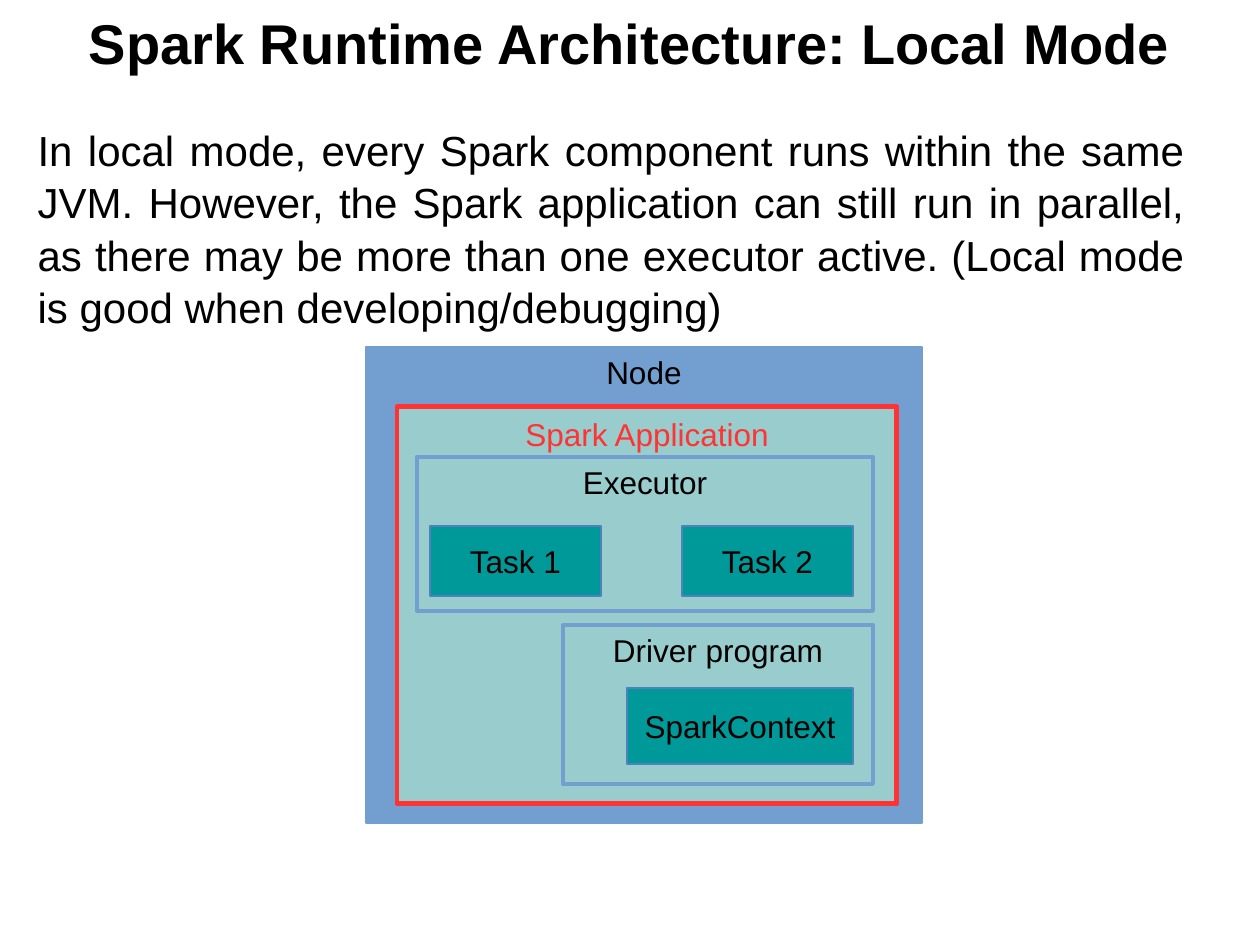
import pptx
import pptx.dml.color
import pptx.enum.shapes
import pptx.enum.text
import pptx.oxml
import pptx.util

RGBColor = pptx.dml.color.RGBColor
Anchor = pptx.enum.text.MSO_ANCHOR
Align = pptx.enum.text.PP_ALIGN

BLACK = RGBColor(0x00, 0x00, 0x00)
RED = RGBColor(0xFF, 0x33, 0x33)
BLUE = RGBColor(0x72, 0x9F, 0xCF)
DARK_BLUE = RGBColor(0x4F, 0x81, 0xBD)
PALE_TEAL = RGBColor(0x99, 0xCC, 0xCC)
TEAL = RGBColor(0x00, 0x99, 0x99)

PX = 914400 // 126  # EMU in one px
FONT = "Arial"

TITLE = "Spark Runtime Architecture: Local Mode"
BODY = (
    "In local mode, every Spark component runs within the same JVM. "
    "However, the Spark application can still run in parallel, as there may "
    "be more than one executor active. (Local mode is good when "
    "developing/debugging)"
)

# style: fill, line, line width in pt, text colour, anchor, (side, top) insets in px
STYLES = {
    "node": (BLUE, BLUE, 0.75, BLACK, Anchor.TOP, (13, 6)),
    "application": (PALE_TEAL, RED, 2.83, RED, Anchor.TOP, (14, 8)),
    "process": (PALE_TEAL, BLUE, 2.25, BLACK, Anchor.TOP, (13, 6)),
    "unit": (TEAL, DARK_BLUE, 0.75, BLACK, Anchor.MIDDLE, (13, 6)),
}

# label, style, (left, top, width, height) in px, from back to front
BOXES = [
    ("Node", "node", (366, 347, 556, 476)),
    ("Spark Application", "application", (397, 407, 500, 397)),
    ("Driver program", "process", (563, 625, 310, 159)),
    ("SparkContext", "unit", (627, 688, 226, 76)),
    ("Executor", "process", (417, 457, 456, 154)),
    ("Task 1", "unit", (430, 526, 171, 70)),
    ("Task 2", "unit", (682, 526, 171, 70)),
]


def place(shape, left, top, width, height):
    shape.left, shape.top = left * PX, top * PX
    shape.width, shape.height = width * PX, height * PX


def write(shape, text, size, color, align, anchor, bold=False):
    """Fill the shape with one formatted paragraph and return it."""
    frame = shape.text_frame
    frame.word_wrap = True
    frame.auto_size = pptx.enum.text.MSO_AUTO_SIZE.NONE
    frame.vertical_anchor = anchor
    paragraph = frame.paragraphs[0]
    paragraph.alignment = align
    paragraph.space_before = pptx.util.Pt(0)
    run = paragraph.add_run()
    run.text = text
    run.font.name = FONT
    run.font.size = pptx.util.Pt(size)
    run.font.bold = bold
    run.font.color.rgb = color
    return paragraph


def remove_bullet(paragraph):
    properties = paragraph._p.get_or_add_pPr()
    properties.set("marL", "0")
    properties.set("indent", "0")
    properties.append(pptx.oxml.parse_xml(
        '<a:buNone xmlns:a="http://schemas.openxmlformats.org/drawingml/2006/main"/>'
    ))


def add_box(slide, label, style, bounds):
    fill, line, line_width, color, anchor, (side, top) = STYLES[style]
    box = slide.shapes.add_shape(pptx.enum.shapes.MSO_SHAPE.RECTANGLE, 0, 0, 0, 0)
    place(box, *bounds)
    box.shadow.inherit = False
    box.fill.solid()
    box.fill.fore_color.rgb = fill
    box.line.color.rgb = line
    box.line.width = pptx.util.Pt(line_width)
    frame = box.text_frame
    frame.margin_left = frame.margin_right = side * PX
    frame.margin_top = frame.margin_bottom = top * PX
    write(box, label, 18, color, Align.CENTER, anchor)


def main():
    presentation = pptx.Presentation()
    presentation.slide_width = 1260 * PX
    presentation.slide_height = 945 * PX
    slide = presentation.slides.add_slide(presentation.slide_layouts[1])

    title, body = slide.placeholders
    place(title, 0, 0, 1260, 84)
    write(title, TITLE, 32, BLACK, Align.CENTER, Anchor.MIDDLE, bold=True)

    place(body, 25, 116, 1172, 215)
    paragraph = write(body, BODY, 24, BLACK, Align.JUSTIFY, Anchor.TOP)
    paragraph.line_spacing = 1.04
    remove_bullet(paragraph)

    for label, style, bounds in BOXES:
        add_box(slide, label, style, bounds)

    presentation.save("out.pptx")


if __name__ == "__main__":
    main()
